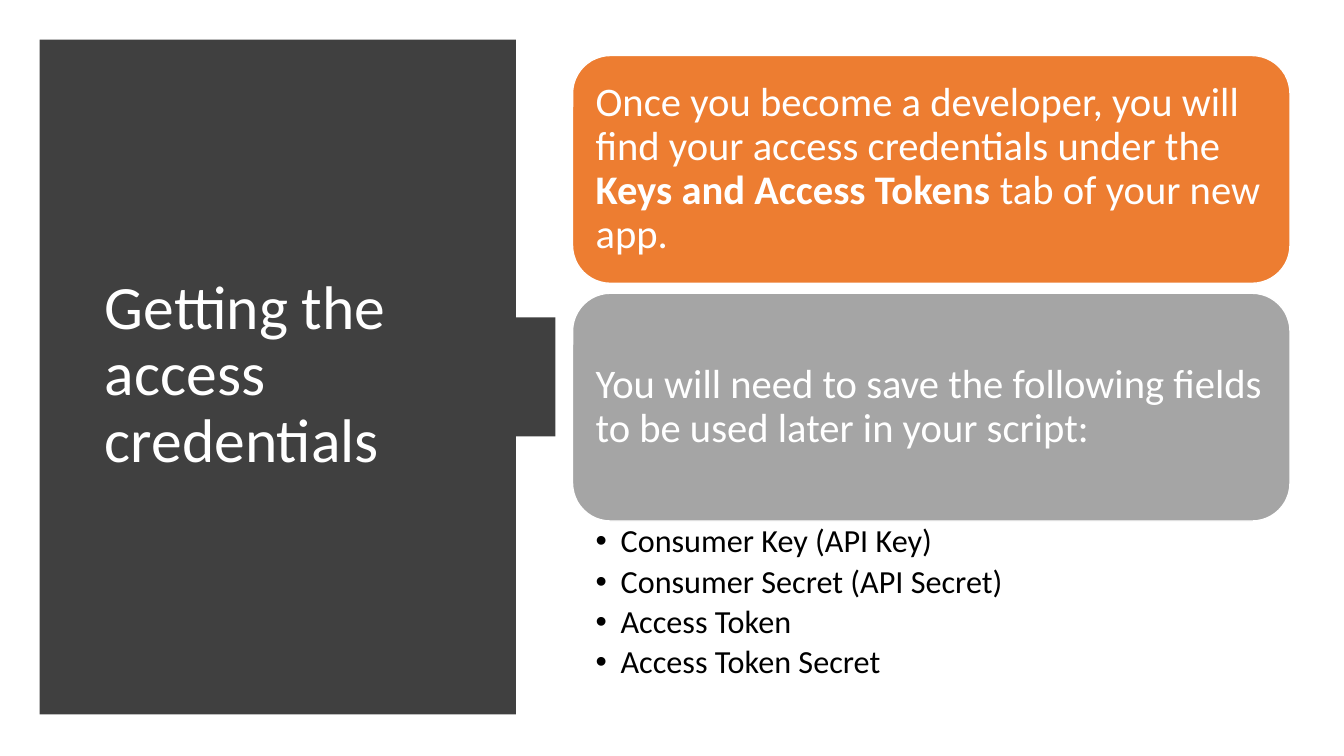
from pptx import Presentation
from pptx.dml.color import RGBColor
from pptx.enum.shapes import MSO_SHAPE
from pptx.enum.text import MSO_ANCHOR, MSO_AUTO_SIZE, PP_ALIGN
from pptx.oxml import parse_xml
from pptx.oxml.ns import nsdecls
from pptx.util import Cm, Pt


def color(value):
    return RGBColor.from_string(value)


def add_run(paragraph, text, size, value, bold=False):
    paragraph.alignment = PP_ALIGN.LEFT
    paragraph.line_spacing = 0.9
    paragraph.space_before = Pt(0)
    run = paragraph.add_run()
    run.text = text
    run.font.name = "Calibri"
    run.font.size = Pt(size)
    run.font.bold = bold
    run.font.color.rgb = color(value)


presentation = Presentation()
presentation.slide_width = Cm(33.87)
presentation.slide_height = Cm(19.05)
slide = presentation.slides.add_slide(presentation.slide_layouts[1])
title, field_list = slide.placeholders

# Dark panel whose right edge bulges as a parabola
left, top, right, height, bulge, steps = 1.35, 1.32, 12.9, 16.36, 0.62, 40
edge = []
for step in range(steps + 1):
    offset = 2 * step / steps - 1
    edge.append((right + bulge * (1 - offset ** 2), top + height * step / steps))
builder = slide.shapes.build_freeform(left, top, scale=Cm(1))
builder.add_line_segments(edge + [(left, top + height)], close=True)
panel = builder.convert_to_shape()
panel.shadow.inherit = False
panel.fill.solid()
panel.fill.fore_color.rgb = color("404040")
panel.line.fill.background()
title.element.addprevious(panel.element)

# Title on the panel
title.left, title.top, title.width, title.height = Cm(2.39), Cm(2.82), Cm(9.5), Cm(13.31)
title.text_frame.auto_size = MSO_AUTO_SIZE.NONE
title.text_frame.vertical_anchor = MSO_ANCHOR.MIDDLE
add_run(title.text_frame.paragraphs[0], "Getting the access credentials", 44, "FFFFFF")

# Rounded cards: fill and text runs with their bold flag
cards = [
    ("ED7D31", [
        ("Once you become a developer, you will find your access credentials under the ", False),
        ("Keys and Access Tokens ", True),
        ("tab of your new app.", False),
    ]),
    ("A5A5A5", [
        ("You will need to save the following fields to be used later in your script:", False),
    ]),
]
for index, (fill, runs) in enumerate(cards):
    card = slide.shapes.add_shape(
        MSO_SHAPE.ROUNDED_RECTANGLE, Cm(14.43), Cm(1.4 + 5.99 * index), Cm(18.08), Cm(5.74))
    card.shadow.inherit = False
    card.fill.solid()
    card.fill.fore_color.rgb = color(fill)
    card.line.color.rgb = color("FFFFFF")
    card.line.width = Pt(1)
    frame = card.text_frame
    frame.word_wrap = True
    frame.vertical_anchor = MSO_ANCHOR.MIDDLE
    frame.margin_left = frame.margin_right = Cm(0.3)
    frame.margin_top = frame.margin_bottom = Cm(0.3)
    for text, bold in runs:
        add_run(frame.paragraphs[0], text, 29, "FFFFFF", bold)

# Bulleted fields below the cards
field_list.left, field_list.top = Cm(14.43), Cm(13.13)
field_list.width, field_list.height = Cm(18.08), Cm(4.42)
frame = field_list.text_frame
frame.auto_size = MSO_AUTO_SIZE.NONE
frame.vertical_anchor = MSO_ANCHOR.TOP
frame.margin_left = frame.margin_right = Cm(0.58)
frame.margin_top = frame.margin_bottom = Cm(0.1)
fields = ["Consumer Key (API Key)", "Consumer Secret (API Secret)",
          "Access Token", "Access Token Secret"]
for index, field in enumerate(fields):
    paragraph = frame.add_paragraph() if index else frame.paragraphs[0]
    add_run(paragraph, field, 23, "000000")
    paragraph.space_after = Pt(4)
    properties = paragraph.alignment is not None and paragraph._p.get_or_add_pPr()
    properties.set("marL", str(Cm(0.63)))
    properties.set("indent", str(Cm(-0.63)))
    properties.append(parse_xml(f'<a:buChar {nsdecls("a")} char="•"/>'))

presentation.save("out.pptx")
